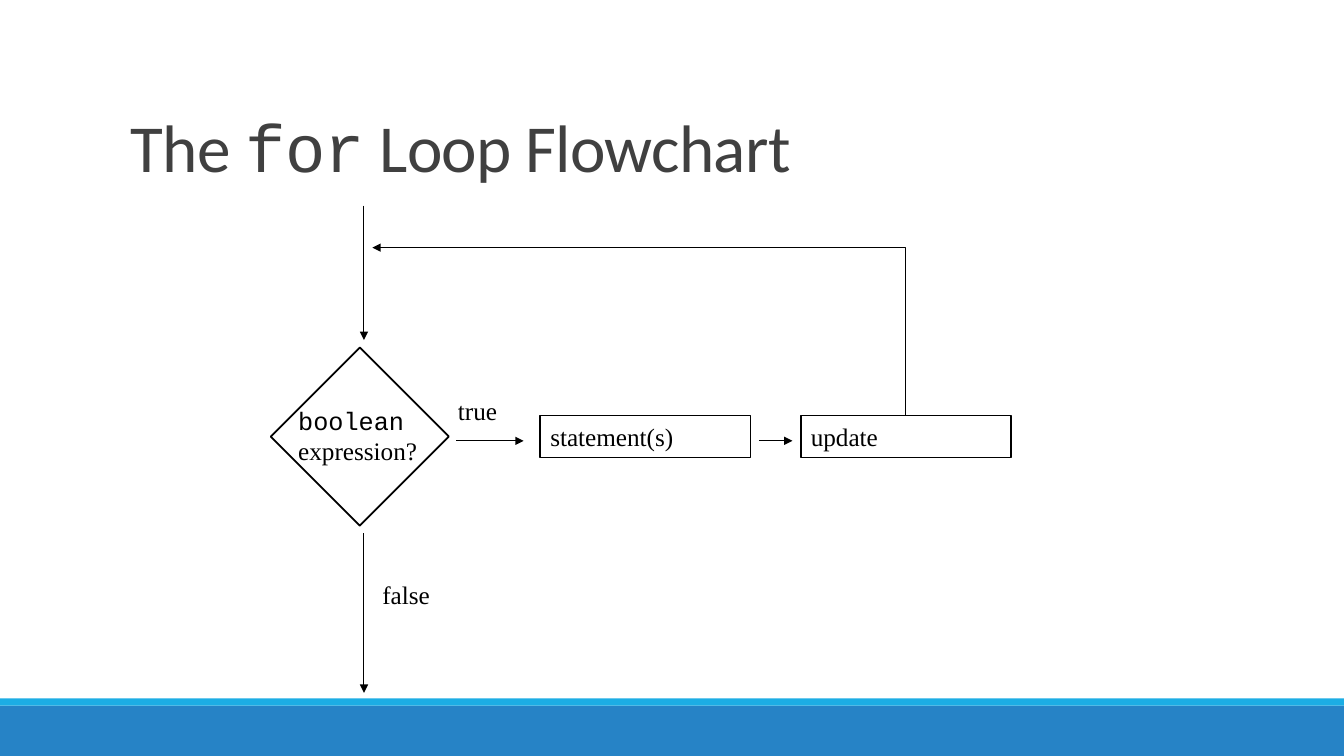
from lxml.etree import SubElement
from pptx import Presentation
from pptx.dml.color import RGBColor
from pptx.enum.shapes import MSO_CONNECTOR, MSO_SHAPE
from pptx.enum.text import MSO_ANCHOR, MSO_AUTO_SIZE, PP_ALIGN
from pptx.oxml.ns import qn
from pptx.util import Inches, Pt

BLACK = RGBColor(0x00, 0x00, 0x00)
WHITE = RGBColor(0xFF, 0xFF, 0xFF)
GRAY = RGBColor(0x40, 0x40, 0x40)
BLUE = RGBColor(0x26, 0x83, 0xC6)
CYAN = RGBColor(0x1C, 0xAD, 0xE4)
SANS, MONO, SERIF = "Calibri", "Courier New", "Times New Roman"
WIDE, HIGH = 13.33, 7.5
STEP = 1 / 12  # side of a flowchart grid cell, in inches


def style(run, font, size, color):
    run.font.name = font
    run.font.size = Pt(size)
    run.font.color.rgb = color


def add_rect(slide, box, fill, line=None):
    rect = slide.shapes.add_shape(MSO_SHAPE.RECTANGLE, *map(Inches, box))
    rect.shadow.inherit = False
    rect.fill.solid()
    rect.fill.fore_color.rgb = fill
    if line is None:
        rect.line.fill.background()
    else:
        rect.line.color.rgb = line
        rect.line.width = Pt(1.25)
    return rect


def add_footer(slide, top):
    strip = 0.07
    add_rect(slide, (0, top + strip, WIDE, HIGH - top - strip), BLUE)
    add_rect(slide, (0, top, WIDE, strip), CYAN)


def add_title(slide, box):
    frame = slide.shapes.add_textbox(*map(Inches, box)).text_frame
    frame.word_wrap = True
    frame.vertical_anchor = MSO_ANCHOR.BOTTOM
    para = frame.paragraphs[0]
    para.line_spacing = 0.85
    for text, font in (("The ", SANS), ("for", MONO), (" Loop Flowchart", SANS)):
        run = para.add_run()
        run.text = text
        style(run, font, 48, GRAY)
        run.font._element.set("spc", "-50")


def write(frame, text, fonts):
    """Fill a frame with left-aligned lines, one font for each line."""
    frame.text = text
    frame.word_wrap = False
    for para, font in zip(frame.paragraphs, fonts):
        para.alignment = PP_ALIGN.LEFT
        style(para.runs[0], font, 18, BLACK)


def add_arrow(slide, start, end, kind=MSO_CONNECTOR.STRAIGHT):
    arrow = slide.shapes.add_connector(kind, *map(Inches, start + end))
    arrow.line.color.rgb = BLACK
    arrow.line.width = Pt(0.75)
    props = arrow._element.spPr
    SubElement(props.find(qn("a:ln")), qn("a:tailEnd"), type="triangle")
    SubElement(props, qn("a:effectLst"))
    return arrow


def add_return(slide, start, end):
    """Arrow that rises from start, then runs left to end."""
    mid_x, mid_y = (start[0] + end[0]) / 2, (start[1] + end[1]) / 2
    half_x, half_y = (start[1] - end[1]) / 2, (start[0] - end[0]) / 2
    arrow = add_arrow(slide, (mid_x + half_x, mid_y - half_y),
                      (mid_x - half_x, mid_y + half_y), MSO_CONNECTOR.ELBOW)
    props = arrow._element.spPr
    props.find(qn("a:xfrm")).set("rot", str(90 * 60000))
    props.find(qn("a:prstGeom")).set("prst", "bentConnector2")


def add_flow(slide, left, top):
    """Flowchart on a grid whose first cell is at left, top."""
    def at(col, row):
        return left + col * STEP, top + row * STEP

    def size(cols, rows):
        return cols * STEP, rows * STEP

    axis, mid = 9, 28
    test = add_rect(slide, at(1, 20) + size(15, 15), WHITE, BLACK)
    test.rotation = 45

    for col, text in ((30, "statement(s)"), (61, "update")):
        step = add_rect(slide, at(col, 25) + size(25, 5), WHITE, BLACK)
        write(step.text_frame, text, [SERIF])

    labels = (
        (0, 23.15, 16.6, 8.4, "boolean\nexpression?", [MONO, SERIF]),
        (19, 22, 7.1, 4.8, "true", [SERIF]),
        (10, 43.9, 8.1, 4.8, "false", [SERIF]),
    )
    for col, row, cols, rows, text, fonts in labels:
        box = at(col, row) + size(cols, rows)
        label = slide.shapes.add_textbox(*map(Inches, box))
        write(label.text_frame, text, fonts)
        label.text_frame.auto_size = MSO_AUTO_SIZE.SHAPE_TO_FIT_TEXT

    for start, end in (
        ((axis, 0), (axis, 16)),
        ((axis, 39), (axis, 58)),
        ((20, mid), (28, mid)),
        ((56, mid), (60, mid)),
    ):
        add_arrow(slide, at(*start), at(*end))
    add_return(slide, at(73.5, 25), at(10, 5))


def main():
    deck = Presentation()
    deck.slide_width, deck.slide_height = Inches(WIDE), Inches(HIGH)
    slide = deck.slides.add_slide(deck.slide_layouts[6])
    add_footer(slide, 6.93)
    add_title(slide, (1.2, 0.31, 11, 1.59))
    add_flow(slide, 2.86, 2.04)
    deck.save("out.pptx")


if __name__ == "__main__":
    main()
